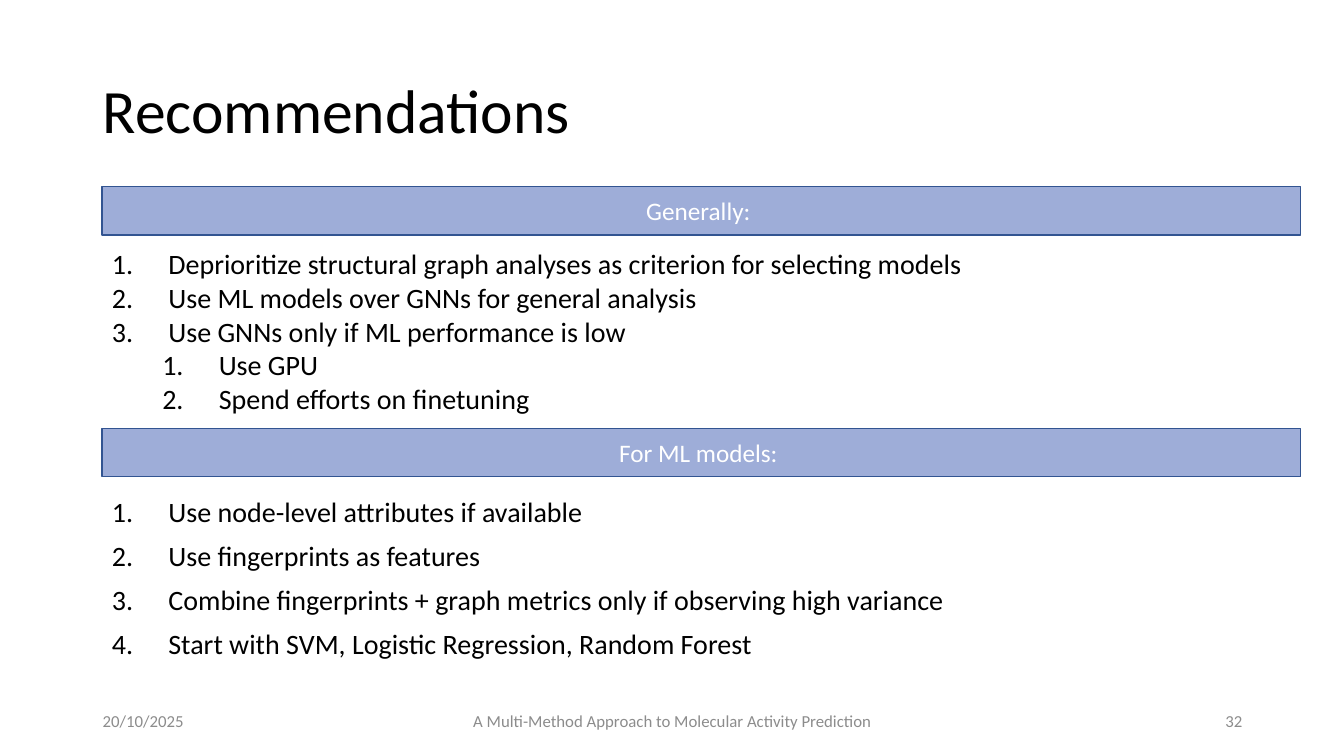
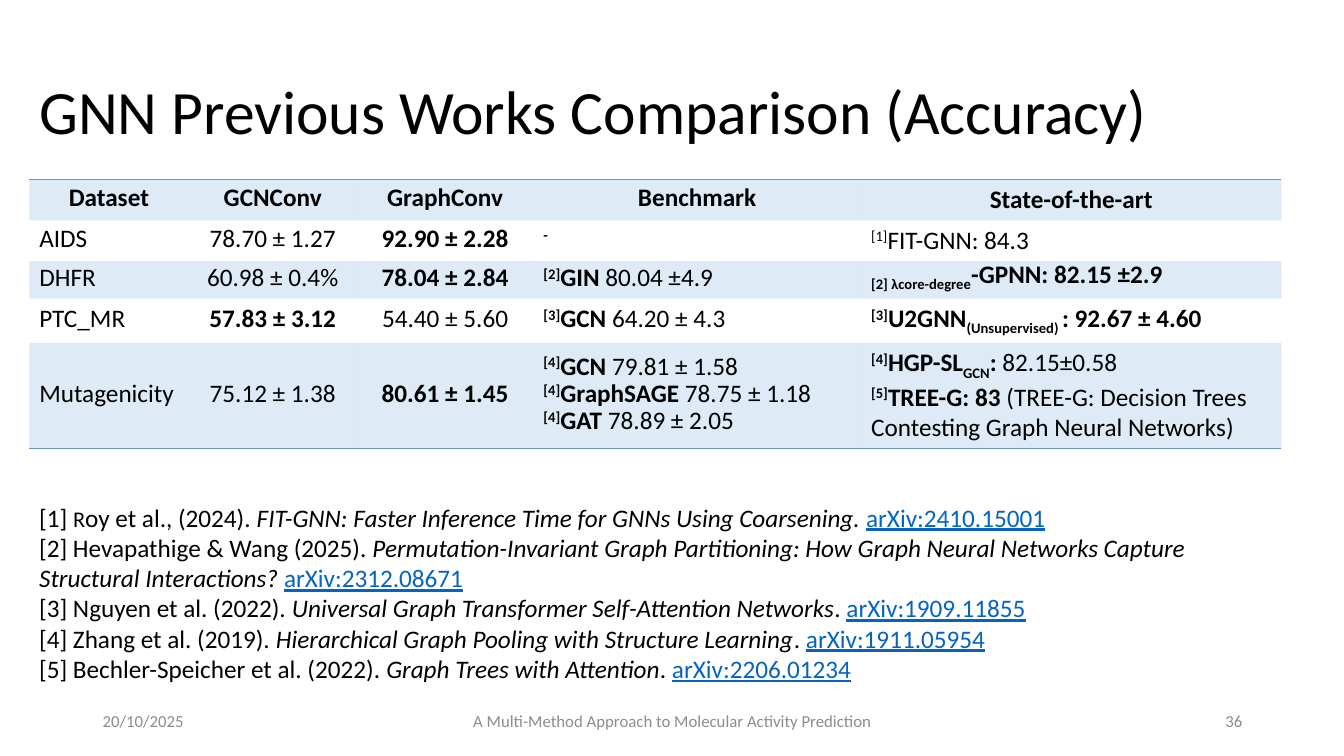
import lxml.etree
import pptx
import pptx.dml.color
import pptx.enum.shapes
import pptx.enum.text
import pptx.oxml
import pptx.oxml.ns
import pptx.util

Inches = pptx.util.Inches
Pt = pptx.util.Pt
Align = pptx.enum.text.PP_ALIGN
Anchor = pptx.enum.text.MSO_ANCHOR

# Shared look
FONT = "Calibri"
COLOURS = {"text": "000000", "footer": "8C8C8C", "link": "0563C1", "white": "FFFFFF",
           "band": "9EADD8", "band line": "325491", "table": "5B9BD5"}
FOOTER_TEXT = "A Multi-Method Approach to Molecular Activity Prediction"
DATE = "20/10/2025"
NO_TABLE_STYLE = "{2D5ABB26-0587-4C30-8999-92F81FD0307C}"
TABLE_LINE = Pt(19.5)


def rgb(colour):
    return pptx.dml.color.RGBColor.from_string(colour)


def add_element(parent, tag, **attributes):
    element = lxml.etree.SubElement(parent, pptx.oxml.ns.qn(tag))
    for name, value in attributes.items():
        element.set(name, str(value))
    return element


def add_run(paragraph, text, size, marks="", colour=COLOURS["text"]):
    """Marks: b bold, i italic, ^ superscript, _ subscript, u link look, s smaller."""
    run = paragraph.add_run()
    run.text = text
    run.font.name = FONT
    run.font.size = Pt(size - 2 if "s" in marks else size)
    run.font.bold = "b" in marks
    run.font.italic = "i" in marks
    run.font.underline = "u" in marks
    run.font.color.rgb = rgb(COLOURS["link"] if "u" in marks else colour)
    for mark, baseline in (("^", 30000), ("_", -25000)):
        if mark in marks:
            run.font._element.set("baseline", str(baseline))


def add_paragraph(frame, index):
    return frame.add_paragraph() if index else frame.paragraphs[0]


def place(shape, box):
    shape.left, shape.top, shape.width, shape.height = (Inches(length) for length in box)
    shape.text_frame.word_wrap = True
    shape.text_frame.auto_size = pptx.enum.text.MSO_AUTO_SIZE.NONE


def add_text_box(slide, box):
    shape = slide.shapes.add_textbox(0, 0, 0, 0)
    place(shape, box)
    return shape.text_frame


def set_title(slide, text, box):
    title = slide.shapes.title
    place(title, box)
    title.text_frame.vertical_anchor = Anchor.MIDDLE
    paragraph = title.text_frame.paragraphs[0]
    paragraph.alignment = Align.LEFT
    paragraph.line_spacing = 0.9
    add_run(paragraph, text, 44)


def add_footer(slide, number):
    parts = ((DATE, 0.92, 3, Align.LEFT), (FOOTER_TEXT, 4.42, 4.5, Align.CENTER),
             (str(number), 9.42, 3, Align.RIGHT))
    for text, left, width, alignment in parts:
        frame = add_text_box(slide, (left, 6.95, width, 0.4))
        frame.vertical_anchor = Anchor.MIDDLE
        frame.paragraphs[0].alignment = alignment
        add_run(frame.paragraphs[0], text, 12, colour=COLOURS["footer"])


# Recommendations
def add_band(slide, text, box):
    band = slide.shapes.add_shape(pptx.enum.shapes.MSO_SHAPE.RECTANGLE, 0, 0, 0, 0)
    place(band, box)
    band.shadow.inherit = False
    band.fill.solid()
    band.fill.fore_color.rgb = rgb(COLOURS["band"])
    band.line.color.rgb = rgb(COLOURS["band line"])
    band.line.width = Pt(1)
    band.text_frame.vertical_anchor = Anchor.MIDDLE
    band.text_frame.paragraphs[0].alignment = Align.CENTER
    add_run(band.text_frame.paragraphs[0], text, 18, colour=COLOURS["white"])


def fill_numbered_list(placeholder, items, box, line_spacing, space_before):
    place(placeholder, box)
    for index, (level, text) in enumerate(items):
        paragraph = add_paragraph(placeholder.text_frame, index)
        properties = paragraph._p.get_or_add_pPr()
        properties.set("marL", str(Inches(0.56 + 0.5 * level)))
        properties.set("indent", str(Inches(-0.56)))
        add_element(properties, "a:buFont", typeface="+mj-lt")
        add_element(properties, "a:buAutoNum", type="arabicPeriod")
        paragraph.level = level
        paragraph.line_spacing = line_spacing
        paragraph.space_before = Pt(space_before if index else 0)
        add_run(paragraph, text, 20)


def add_recommendation_slide(presentation):
    slide = presentation.slides.add_slide(presentation.slide_layouts.get_by_name("Two Content"))
    set_title(slide, "Recommendations", (0.92, 0.4, 11.5, 1.45))
    general = [(0, "Deprioritize structural graph analyses as criterion for selecting models"),
               (0, "Use ML models over GNNs for general analysis"),
               (0, "Use GNNs only if ML performance is low"),
               (1, "Use GPU"),
               (1, "Spend efforts on finetuning")]
    models = [(0, "Use node-level attributes if available"),
              (0, "Use fingerprints as features"),
              (0, "Combine fingerprints + graph metrics only if observing high variance"),
              (0, "Start with SVM, Logistic Regression, Random Forest")]
    # Heading, items, band top, list top, list height, line spacing, space before
    sections = (("Generally: ", general, 1.85, 2.4, 1.78, 1.0, 0),
                ("For ML models: ", models, 4.25, 4.89, 2.21, 0.9, 10))
    for index, section in enumerate(sections, start=1):
        heading, items, band_top, list_top, list_height, line_spacing, space_before = section
        add_band(slide, heading, (1.01, band_top, 11.89, 0.48))
        fill_numbered_list(slide.placeholders[index], items,
                           (1.01, list_top, 11.5, list_height), line_spacing, space_before)
    add_footer(slide, 32)


# Comparison: each cell is a list of paragraphs, each paragraph a list of (text, marks)
def line(*runs):
    return [run if isinstance(run, tuple) else (run, "") for run in runs]


def result(reference, model, score):
    return line((reference, "b^"), (model, "b"), score)


ACCURACY_ROWS = [
    [[line((heading, "b"))] for heading in
     ("Dataset", "GCNConv", "GraphConv", "Benchmark", "State-of-the-art")],
    [[line("AIDS")], [line("78.70 ± 1.27")], [line(("92.90 ± 2.28", "b"))],
     [line(("-", "b^"))], [line(("[1]", "^"), "FIT-GNN: 84.3")]],
    [[line("DHFR")], [line("60.98 ± 0.4%")], [line(("78.04 ± 2.84", "b"))],
     [result("[2]", "GIN ", "80.04 ±4.9")],
     [line(("[2] λcore-degree", "b_"), ("-GPNN: 82.15 ±2.9", "b"))]],
    [[line("PTC_MR")], [line(("57.83 ± 3.12", "b"))], [line("54.40 ± 5.60")],
     [result("[3]", "GCN ", "64.20 ± 4.3")],
     [line(("[3]", "b^"), ("U2GNN", "b"), ("(Unsupervised) ", "b_"), (": 92.67 ± 4.60", "b"))]],
    [[line("Mutagenicity")], [line("75.12 ± 1.38")], [line(("80.61 ± 1.45", "b"))],
     [result("[4]", "GCN", " 79.81 ± 1.58"),
      result("[4]", "GraphSAGE ", "78.75 ± 1.18"),
      result("[4]", "GAT ", "78.89 ± 2.05")],
     [line(("[4]", "b^"), ("HGP-SL", "b"), ("GCN", "b_"), (": ", "b"), "82.15±0.58"),
      result("[5]", "TREE-G: 83",
             " (TREE-G: Decision Trees Contesting Graph Neural Networks)")]],
]

REFERENCES = [
    line("[1] ", ("R", "s"), "oy et al., (2024). ",
         ("FIT-GNN: Faster Inference Time for GNNs Using Coarsening. ", "i"),
         ("arXiv:2410.15001", "u")),
    line("[2] Hevapathige & Wang (2025). ",
         ("Permutation-Invariant Graph Partitioning: How Graph Neural Networks Capture "
          "Structural Interactions? ", "i"), ("arXiv:2312.08671", "u")),
    line("[3] Nguyen et al. (2022). ",
         ("Universal Graph Transformer Self-Attention Networks", "i"), ". ",
         ("arXiv:1909.11855", "u")),
    line("[4] Zhang et al. (2019). ",
         ("Hierarchical Graph Pooling with Structure Learning", "i"), ". ",
         ("arXiv:1911.05954", "u")),
    line("[5] Bechler-Speicher et al. (2022). ",
         ("Graph Trees with Attention", "i"), ". ", ("arXiv:2206.01234", "u")),
]


def add_cell_border(cell, tag):
    border = add_element(cell._tc.get_or_add_tcPr(), tag, w=Pt(1))
    fill = add_element(border, "a:solidFill")
    add_element(fill, "a:srgbClr", val=COLOURS["table"])


def fill_cell(cell, shaded):
    if not shaded:
        cell.fill.background()
        return
    cell.fill.solid()
    cell.fill.fore_color.rgb = rgb(COLOURS["table"])
    colour = cell._tc.tcPr.find(pptx.oxml.ns.qn("a:solidFill"))[0]
    add_element(colour, "a:alpha", val=20000)


def add_accuracy_table(slide, box, widths, heights):
    rows, columns = len(heights), len(widths)
    table = slide.shapes.add_table(rows, columns, *(Inches(length) for length in box)).table
    table.first_row = table.horz_banding = False
    table._tbl.tblPr.find(pptx.oxml.ns.qn("a:tableStyleId")).text = NO_TABLE_STYLE
    for column, width in zip(table.columns, widths):
        column.width = Inches(width)
    for row_index, (row, height) in enumerate(zip(table.rows, heights)):
        row.height = Inches(height)
        for column_index, paragraphs in enumerate(ACCURACY_ROWS[row_index]):
            cell = table.cell(row_index, column_index)
            cell.vertical_anchor = Anchor.MIDDLE
            if row_index == 0:
                add_cell_border(cell, "a:lnT")
            if row_index == rows - 1:
                add_cell_border(cell, "a:lnB")
            fill_cell(cell, shaded=row_index % 2 == 0)
            centred = row_index == 0 or column_index in (1, 2)
            # The last column keeps natural spacing, apart from its DHFR line
            fixed = column_index < columns - 1 or row_index == 2
            for index, runs in enumerate(paragraphs):
                paragraph = add_paragraph(cell.text_frame, index)
                paragraph.alignment = Align.CENTER if centred else Align.LEFT
                paragraph.line_spacing = TABLE_LINE if fixed else 1.0
                for text, marks in runs:
                    add_run(paragraph, text, 18, marks)


def add_references(slide, box):
    frame = add_text_box(slide, box)
    for index, runs in enumerate(REFERENCES):
        paragraph = add_paragraph(frame, index)
        for text, marks in runs:
            add_run(paragraph, text, 18, marks)


def add_comparison_slide(presentation):
    slide = presentation.slides.add_slide(presentation.slide_layouts.get_by_name("Title Only"))
    set_title(slide, "GNN Previous Works Comparison (Accuracy)", (0.29, 0.4, 12.13, 1.48))
    add_accuracy_table(slide, (0.29, 1.78, 12.42, 2.58),
                       (1.58, 1.67, 1.75, 3.25, 4.17), (0.23, 0.23, 0.23, 0.23, 0.4))
    add_references(slide, (0.29, 4.93, 12.14, 2.22))
    add_footer(slide, 36)


def main():
    presentation = pptx.Presentation()
    presentation.slide_width = Inches(13.33)
    presentation.slide_height = Inches(7.5)
    add_recommendation_slide(presentation)
    add_comparison_slide(presentation)
    presentation.save("out.pptx")


if __name__ == "__main__":
    main()
